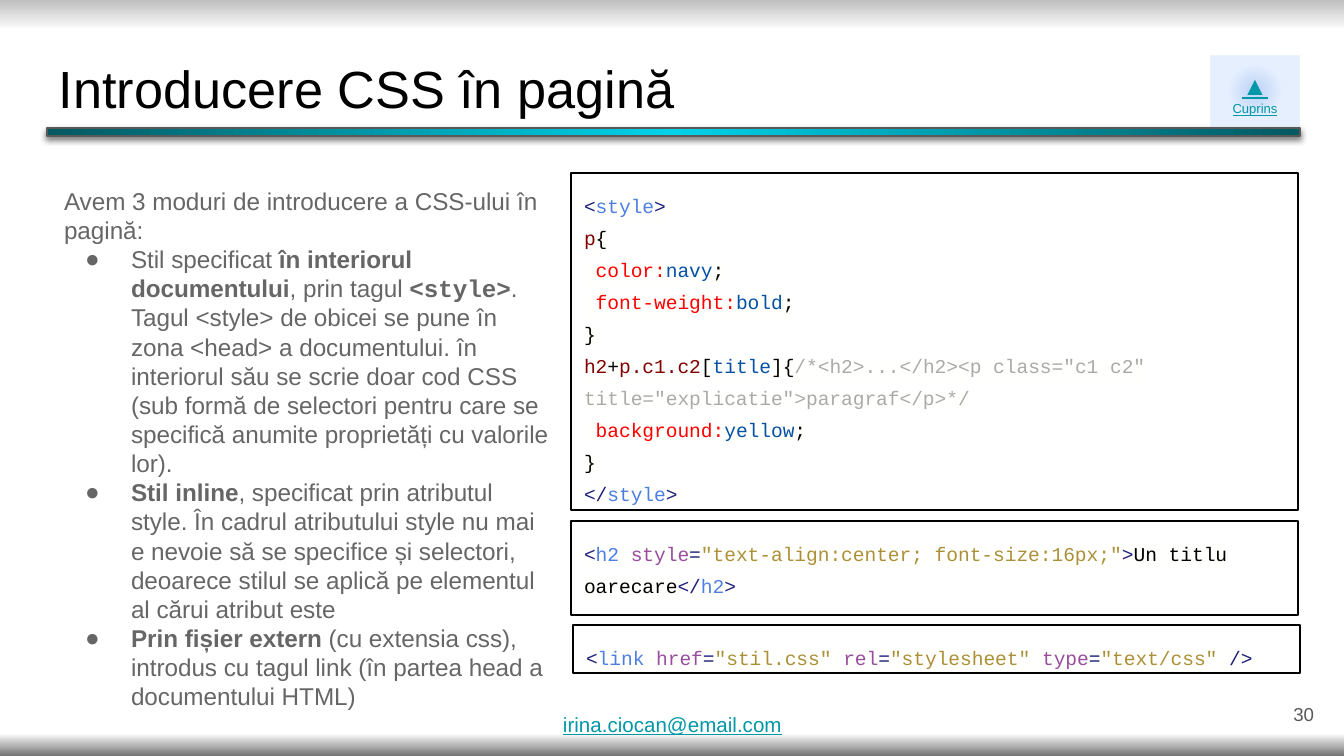
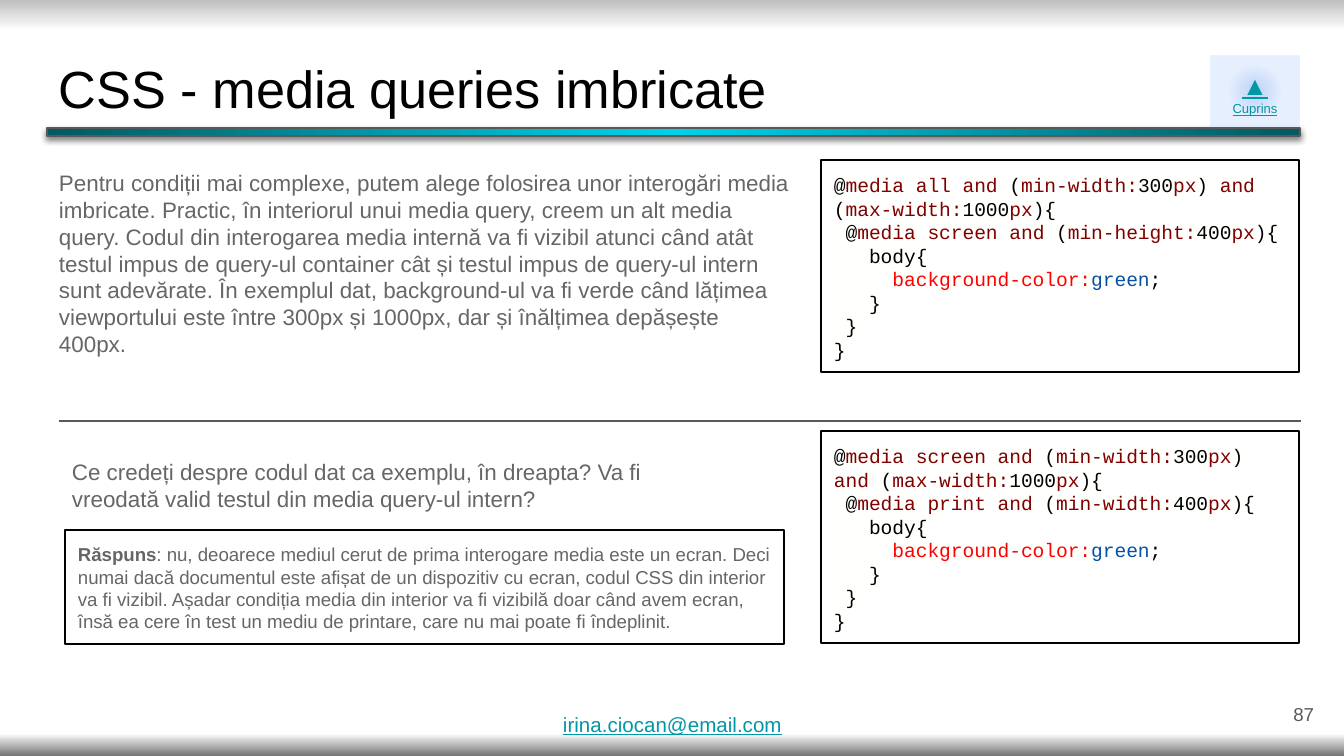
"""Build two Romanian course slides about CSS in pages and nested media queries."""
from itertools import cycle

from lxml import etree
from pptx import Presentation
from pptx.dml.color import RGBColor
from pptx.enum.shapes import MSO_CONNECTOR, MSO_SHAPE
from pptx.enum.text import MSO_ANCHOR, MSO_AUTO_SIZE, PP_ALIGN
from pptx.oxml import parse_xml
from pptx.oxml.ns import nsdecls, qn
from pptx.util import Emu, Pt

RECTANGLE = MSO_SHAPE.RECTANGLE
STRAIGHT = MSO_CONNECTOR.STRAIGHT
TOP, MIDDLE = MSO_ANCHOR.TOP, MSO_ANCHOR.MIDDLE
LEFT, CENTER, RIGHT = PP_ALIGN.LEFT, PP_ALIGN.CENTER, PP_ALIGN.RIGHT
NO_AUTOFIT = MSO_AUTO_SIZE.NONE

COLORS = {
    "plain": "000000", "bracket": "1F217D", "tag": "4D7FE2", "selector": "800000",
    "property": "FF0000", "value": "0451A5", "comment": "AAAAAA",
    "attribute": "984E9C", "string": "AC9037", "highlight": "FFFFFE",
    "body": "666666", "rule": "595959", "link": "0097A7",
}
PAGE_STOPS = [(0, "BFBFBF", 100), (4, "FFFFFF", 100), (97, "FFFFFF", 100), (100, "737373", 100)]
BAND_STOPS = [(0, "00D2E9", 100), (100, "045962", 100)]
BUTTON_STOPS = [(0, "BCD6FF", 37), (0, "4A86E8", 37), (48, "BCD6FF", 37), (100, "BCD6FF", 37)]

TITLE = {"name": "Arial", "size": 28, "color": "plain"}
BODY = {"name": "Arial", "size": 13, "color": "body"}
QUESTION = {**BODY, "size": 12}
ANSWER = {**BODY, "size": 10}
NUMBER = {**ANSWER, "color": "rule"}
EMAIL = {"name": "Arial", "size": 11, "color": "link", "underline": True}
CODE = {"name": "Courier New", "size": 10.5, "color": "plain"}
BOLD = {"bold": True}

EMAIL_TEXT = "irina.ciocan@email.com"
BUTTON_TEXT = [[("▲", {"size": 14})], [("Cuprins", {"size": 7})]]
METHODS = [
    [("Avem 3 moduri de introducere a CSS-ului în pagină:", {})],
    [("Stil specificat ", {}), ("în interiorul documentului", BOLD), (", prin tagul ", {}),
     ("<style>", {"name": "Courier New", "bold": True}),
     (". Tagul <style> de obicei se pune în zona <head> a documentului. în interiorul său "
      "se scrie doar cod CSS (sub formă de selectori pentru care se specifică anumite "
      "proprietăți cu valorile lor).", {})],
    [("Stil inline", BOLD),
     (", specificat prin atributul style. În cadrul atributului style nu mai e nevoie să se "
      "specifice și selectori, deoarece stilul se aplică pe elementul al cărui atribut este", {})],
    [("Prin fișier extern", BOLD),
     (" (cu extensia css), introdus cu tagul link (în partea head a documentului HTML)", {})],
]
NESTING = [[(
    "Pentru condiții mai complexe, putem alege folosirea unor interogări media imbricate. "
    "Practic, în interiorul unui media query, creem un alt media query. Codul din interogarea "
    "media internă va fi vizibil atunci când atât testul impus de query-ul container cât și "
    "testul impus de query-ul intern sunt adevărate. În exemplul dat, background-ul va fi verde "
    "când lățimea viewportului este între 300px și 1000px, dar și înălțimea depășește 400px.", {})]]
ASKED = [[("Ce credeți despre codul dat ca exemplu, în dreapta? Va fi vreodată valid testul "
           "din media query-ul intern?", {})]]
REPLY = [[("Răspuns", BOLD), (
    ": nu, deoarece mediul cerut de prima interogare media este un ecran. Deci numai dacă "
    "documentul este afișat de un dispozitiv cu ecran, codul CSS din interior va fi vizibil. "
    "Așadar condiția media din interior va fi vizibilă doar când avem ecran, însă ea cere în "
    "test un mediu de printare, care nu mai poate fi îndeplinit.", {})]]

DECLARATION = "plain property value plain"
MEDIA = "plain selector"
STYLE_CODE = [
    ("bracket tag bracket", "<|style|>"),
    ("selector plain", "p|{"),
    (DECLARATION, " |color:|navy|;"),
    (DECLARATION, " |font-weight:|bold|;"),
    ("plain", "}"),
    ("selector plain selector plain value plain comment",
     'h2|+|p.c1.c2|[|title|]{|/*<h2>...</h2><p class="c1 c2" title="explicatie">paragraf</p>*/'),
    (DECLARATION, " |background:|yellow|;"),
    ("plain", "}"),
    ("bracket tag bracket", "</|style|>"),
]
INLINE_CODE = [
    ("bracket tag plain attribute bracket string bracket plain bracket tag bracket",
     '<|h2| |style|=|"text-align:center; font-size:16px;"|>|Un titlu oarecare|</|h2|>'),
]
LINK_CODE = [
    ("bracket tag" + " plain attribute bracket string" * 3 + " plain bracket",
     '<|link| |href|=|"stil.css"| |rel|=|"stylesheet"| |type|=|"text/css"| |/>'),
]
MEDIA_TAIL = [
    ("plain", "   body{"),
    (DECLARATION, "     |background-color:|green|;"),
    ("plain", "   }"),
    ("plain", " }"),
    ("plain", "}"),
]
SCREEN_CODE = [
    (MEDIA, "@|media| |all| |and| (|min-width:|300|px|) |and| (|max-width:|1000|px|){"),
    (MEDIA, " @|media| |screen| |and| (|min-height:|400|px|){"),
] + MEDIA_TAIL
PRINT_CODE = [
    (MEDIA, "@|media| |screen and| (|min-width:|300|px|) |and| (|max-width:|1000|px|){"),
    (MEDIA, " @|media| |print and| (|min-width:|400|px|){"),
] + MEDIA_TAIL

SLIDES = [
    {
        "title": "Introducere CSS în pagină", "number": "30",
        "body": (METHODS, BODY, (51, 173, 511, 547)),
        "spacing": 1.36,
        "code": [(STYLE_CODE, (571, 173, 727, 337)),
                 (INLINE_CODE, (571, 521, 727, 94)),
                 (LINK_CODE, (573, 625, 727, 48))],
        "notes": [], "rules": [],
    },
    {
        "title": "CSS - media queries imbricate", "number": "87",
        "body": (NESTING, QUESTION, (46, 156, 757, 212)),
        "spacing": 1.0,
        "code": [(SCREEN_CODE, (821, 160, 478, 212)),
                 (PRINT_CODE, (821, 431, 478, 212))],
        "notes": [(ASKED, QUESTION, (59, 445, 601, 94), False),
                  (REPLY, ANSWER, (65, 530, 719, 114), True)],
        "rules": [(59, 421, 1301, 421)],
    },
]


def px(*lengths):
    """Turn pixel lengths into EMU."""
    return [Emu(round(length * 914400 / 134.4)) for length in lengths]


def rgb(name):
    """Look up a named colour."""
    return RGBColor.from_string(COLORS[name])


def place(shape, area):
    """Move a shape to a pixel area."""
    for field, length in zip(("left", "top", "width", "height"), px(*area)):
        setattr(shape, field, length)


def paint_gradient(fill, holder, stops, direction):
    """Swap a plain fill inside holder for a gradient."""
    fill.solid()
    marks = "".join(
        f'<a:gs pos="{position * 1000}"><a:srgbClr val="{color}">'
        f'<a:alpha val="{alpha * 1000}"/></a:srgbClr></a:gs>'
        for position, color, alpha in stops)
    solid = holder.find(qn("a:solidFill"))
    holder.replace(solid, parse_xml(
        f'<a:gradFill {nsdecls("a")} rotWithShape="1"><a:gsLst>{marks}</a:gsLst>{direction}</a:gradFill>'))


LINEAR = '<a:lin ang="5400000" scaled="0"/>'
RADIAL = '<a:path path="circle"><a:fillToRect l="50000" t="50000" r="50000" b="50000"/></a:path>'


def write(shape, paragraphs, base, spacing=1.0, align=LEFT, anchor=TOP, inset=13):
    """Fill a shape with paragraphs of (text, format) spans."""
    frame = shape.text_frame
    side, edge = px(13, inset)
    settings = {"word_wrap": True, "auto_size": NO_AUTOFIT, "vertical_anchor": anchor,
                "margin_left": side, "margin_right": side,
                "margin_top": edge, "margin_bottom": edge}
    for field, value in settings.items():
        setattr(frame, field, value)
    for index, spans in enumerate(paragraphs):
        para = frame.add_paragraph() if index else frame.paragraphs[0]
        for field, value in {"alignment": align, "line_spacing": spacing,
                             "space_before": Pt(0)}.items():
            setattr(para, field, value)
        for text, changes in spans:
            span = para.add_run()
            span.text = text
            style = {**base, **changes}
            span.font.color.rgb = rgb(style.pop("color"))
            style["size"] = Pt(style["size"])
            for field, value in style.items():
                setattr(span.font, field, value)


def set_bullets(frame):
    """Bullet every paragraph after the opening one."""
    for index, para in enumerate(frame.paragraphs):
        properties = para._p.get_or_add_pPr()
        margin, indent = px(67, -46) if index else px(0, 0)
        properties.set("marL", str(margin))
        properties.set("indent", str(indent))
        if index:
            color = etree.SubElement(properties, qn("a:buClr"))
            etree.SubElement(color, qn("a:srgbClr"), val=COLORS["body"])
            etree.SubElement(properties, qn("a:buChar"), char="●")
        else:
            etree.SubElement(properties, qn("a:buNone"))


def add_box(page, area, outline="plain"):
    """Add an unfilled rectangle with an optional thin outline."""
    box = page.shapes.add_shape(RECTANGLE, *px(*area))
    box.shadow.inherit = False
    box.fill.background()
    if outline:
        box.line.color.rgb = rgb(outline)
        box.line.width = Pt(0.75)
    else:
        box.line.fill.background()
    return box


def add_code(page, lines, area, spacing):
    """Add an outlined box of coloured, highlighted code."""
    box = add_box(page, area)
    paragraphs = [[(text, {"color": role}) for role, text in zip(cycle(roles.split()), line.split("|"))]
                  for roles, line in lines]
    write(box, paragraphs, CODE, spacing)
    for fill in box.text_frame._txBody.iter(qn("a:solidFill")):
        highlight = etree.Element(qn("a:highlight"))
        etree.SubElement(highlight, qn("a:srgbClr"), val=COLORS["highlight"])
        fill.addnext(highlight)


def add_text(page, paragraphs, base, area, **layout):
    """Add a plain text box."""
    write(page.shapes.add_textbox(*px(*area)), paragraphs, base, **layout)


def add_rule(page, ends):
    """Add a thin straight line."""
    rule = page.shapes.add_connector(STRAIGHT, *px(*ends))
    rule.line.color.rgb = rgb("rule")
    rule.line.width = Pt(0.75)
    etree.SubElement(rule._element.spPr, qn("a:effectLst"))


def add_frame(page, title, number):
    """Add the title, band, contents button and footer each slide shares."""
    place(page.shapes.title, (46, 43, 1253, 85))
    write(page.shapes.title, [[(title, {})]], TITLE)
    band = add_box(page, (47, 128, 1253, 8), "rule")
    properties = band._element.spPr
    paint_gradient(band.fill, properties, BAND_STOPS, RADIAL)
    properties.find(qn("a:effectLst")).append(parse_xml(
        f'<a:outerShdw {nsdecls("a")} blurRad="{Pt(3.4)}" dist="{Pt(1.5)}" dir="5400000" '
        'algn="bl" rotWithShape="0"><a:srgbClr val="000000"><a:alpha val="50000"/>'
        '</a:srgbClr></a:outerShdw>'))
    add_text(page, [[(number, {})]], NUMBER, (1246, 685, 81, 58), align=RIGHT, anchor=MIDDLE)
    add_text(page, [[(EMAIL_TEXT, {})]], EMAIL, (550, 712, 247, 36), inset=0)
    button = add_box(page, (1211, 56, 88, 71), None)
    paint_gradient(button.fill, button._element.spPr, BUTTON_STOPS, RADIAL)
    write(button, BUTTON_TEXT, EMAIL, align=CENTER)


def main():
    """Build and save the deck."""
    deck = Presentation()
    deck.slide_width, deck.slide_height = px(1344, 756)
    master = deck.slide_master
    backdrop = master.background.fill
    backdrop.solid()
    paint_gradient(backdrop, master.element.find(".//" + qn("p:bgPr")), PAGE_STOPS, LINEAR)
    for content in SLIDES:
        page = deck.slides.add_slide(deck.slide_layouts[1])
        add_frame(page, content["title"], content["number"])
        paragraphs, style, area = content["body"]
        body = page.placeholders[1]
        place(body, area)
        write(body, paragraphs, style)
        set_bullets(body.text_frame)
        for lines, area in content["code"]:
            add_code(page, lines, area, content["spacing"])
        for paragraphs, style, area, outlined in content["notes"]:
            if outlined:
                write(add_box(page, area), paragraphs, style)
            else:
                add_text(page, paragraphs, style, area)
        for ends in content["rules"]:
            add_rule(page, ends)
    deck.save("out.pptx")


if __name__ == "__main__":
    main()
